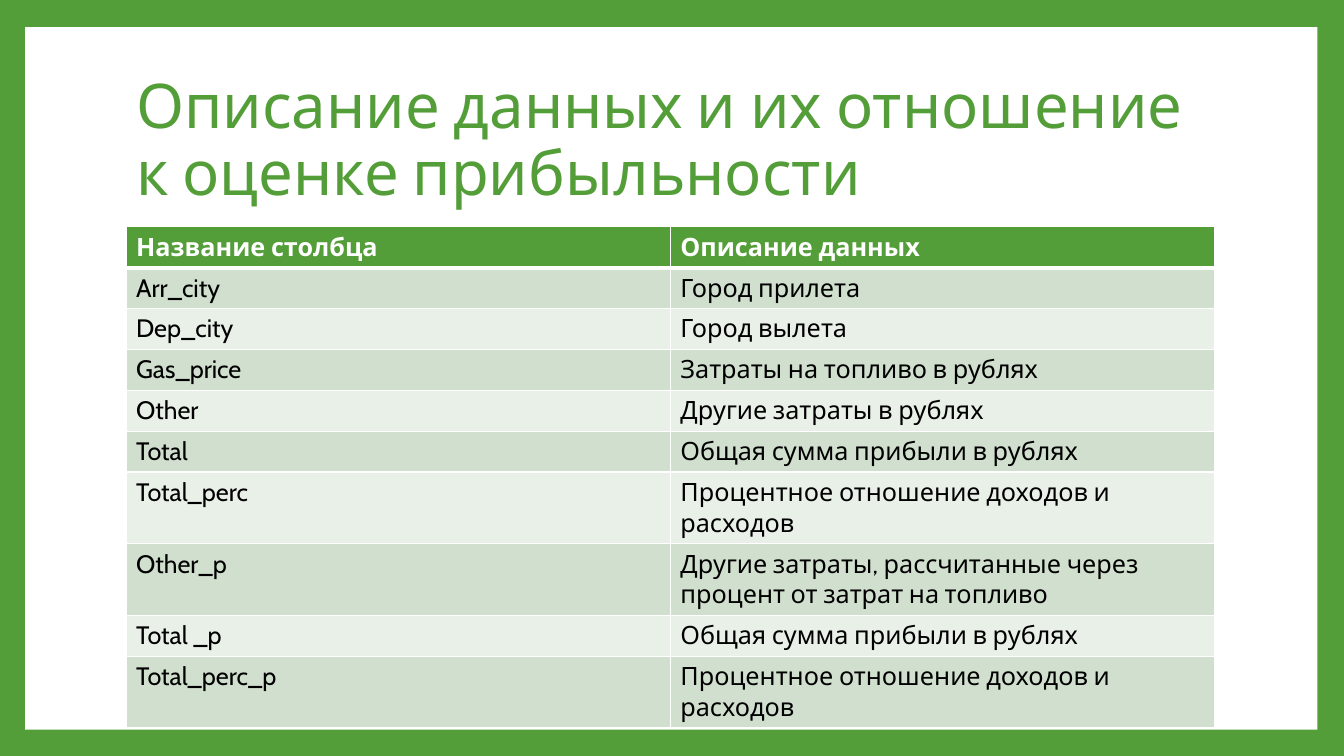
"""Build a slide with a table describing the data columns used to assess profitability."""
from pptx import Presentation
from pptx.dml.color import RGBColor
from pptx.enum.shapes import MSO_SHAPE as Shape
from pptx.enum.text import MSO_ANCHOR as Anchor, MSO_AUTO_SIZE as AutoSize, PP_ALIGN as Align
from pptx.oxml.ns import qn
from pptx.util import Pt
from lxml.etree import SubElement

TITLE = "Описание данных и их отношение к оценке прибыльности"
ROWS = [
    ("Название столбца", "Описание данных"),
    ("Arr_city", "Город прилета"),
    ("Dep_city", "Город вылета"),
    ("Gas_price", "Затраты на топливо в рублях"),
    ("Other", "Другие затраты в рублях"),
    ("Total", "Общая сумма прибыли в рублях"),
    ("Total_perc", "Процентное отношение доходов и расходов"),
    ("Other_p", "Другие затраты, рассчитанные через процент от затрат на топливо"),
    ("Total _p", "Общая сумма прибыли в рублях"),
    ("Total_perc_p", "Процентное отношение доходов и расходов"),
]
COLORS = {
    "green": "549E39",
    "white": "FFFFFF",
    "black": "000000",
    "odd": "D1DFCE",
    "even": "E9F0E8",
}
FONT = "Cabin"
LEFT, WIDTH = 90, 777.6
TABLE_TOP, ROW_HEIGHT = 162, 29.2


def color(name):
    return RGBColor.from_string(COLORS[name])


def paint(fill, name):
    fill.solid()
    fill.fore_color.rgb = color(name)


def write(frame, text, size=18, ink="black", bold=False, spacing=None):
    frame.word_wrap = True
    paragraph = frame.paragraphs[0]
    paragraph.alignment = Align.LEFT
    paragraph.line_spacing = spacing
    run = paragraph.add_run()
    run.text = text
    run.font.name = FONT
    run.font.size = Pt(size)
    run.font.bold = bold
    run.font.color.rgb = color(ink)


def add_borders(cell, **widths):
    properties = cell._tc.get_or_add_tcPr()
    for index, (side, width) in enumerate(widths.items()):
        line = properties.makeelement(qn(f"a:ln{side}"), {"w": str(Pt(width))})
        fill = SubElement(line, qn("a:solidFill"))
        SubElement(fill, qn("a:srgbClr"), val=COLORS["white"])
        properties.insert(index, line)


def add_title(slide):
    title = slide.shapes.title
    title.left, title.top, title.width, title.height = Pt(LEFT), Pt(48), Pt(WIDTH), Pt(106.6)
    frame = title.text_frame
    frame.auto_size = AutoSize.NONE
    frame.vertical_anchor = Anchor.MIDDLE
    write(frame, TITLE, size=44, ink="green", spacing=0.9)
    title.element.getparent().append(title.element)


def add_columns_table(slide):
    table = slide.shapes.add_table(
        len(ROWS), 2, Pt(LEFT), Pt(TABLE_TOP), Pt(WIDTH), Pt(ROW_HEIGHT * len(ROWS))
    ).table
    for column in table.columns:
        column.width = Pt(WIDTH / 2)
    for row_index, texts in enumerate(ROWS):
        table.rows[row_index].height = Pt(ROW_HEIGHT)
        header = row_index == 0
        band = "green" if header else ("even", "odd")[row_index % 2]
        for column_index, text in enumerate(texts):
            cell = table.cell(row_index, column_index)
            paint(cell.fill, band)
            write(cell.text_frame, text, ink="white" if header else "black", bold=header)
            add_borders(cell, L=1, R=1, T=3 if row_index == 1 else 1, B=3 if header else 1)


def main():
    presentation = Presentation()
    presentation.slide_width, presentation.slide_height = Pt(960), Pt(540)
    slide = presentation.slides.add_slide(presentation.slide_layouts[5])
    paint(slide.background.fill, "green")
    panel = slide.shapes.add_shape(Shape.RECTANGLE, Pt(18), Pt(19.4), Pt(923), Pt(501.8))
    panel.shadow.inherit = False
    paint(panel.fill, "white")
    panel.line.fill.background()
    add_title(slide)
    add_columns_table(slide)
    presentation.save("out.pptx")


if __name__ == "__main__":
    main()
